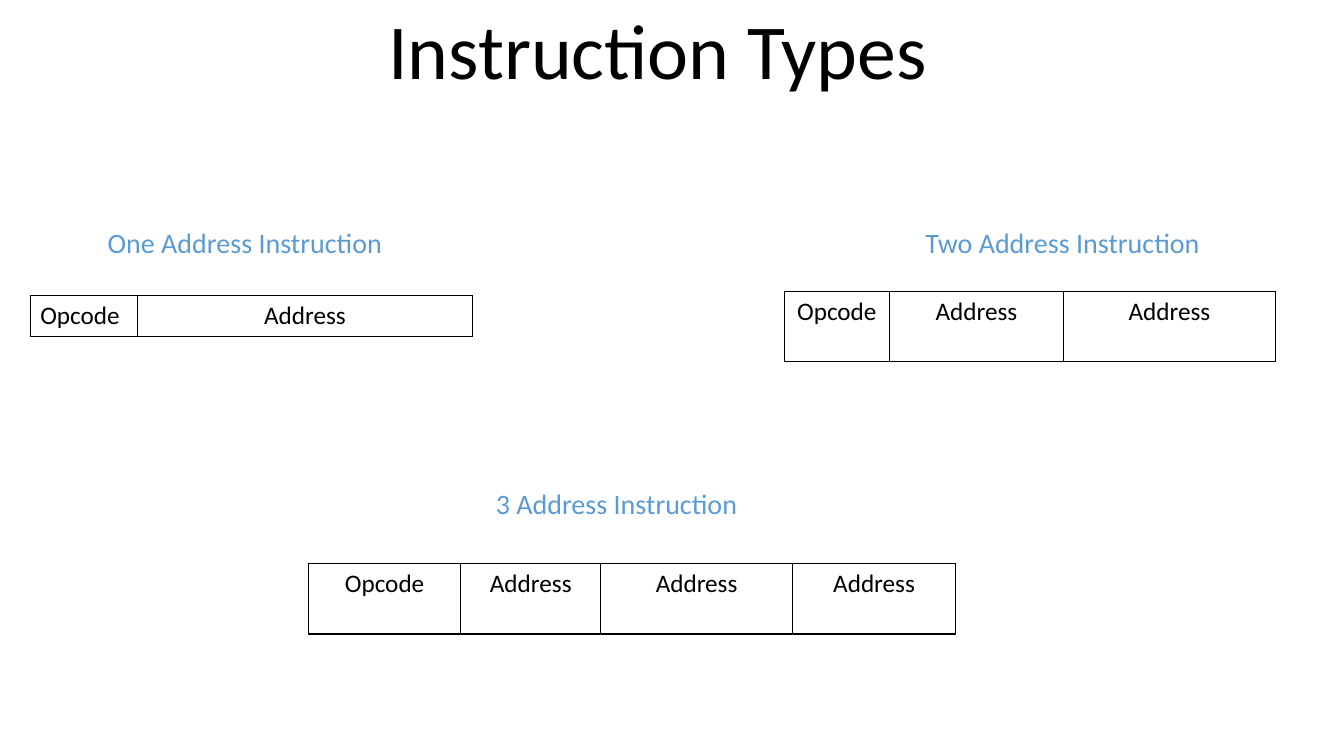
from dataclasses import dataclass

from lxml.etree import SubElement as Sub
from pptx import Presentation
from pptx.dml.color import RGBColor as Rgb
from pptx.enum.text import MSO_ANCHOR as Anchor, MSO_AUTO_SIZE as Fit, PP_ALIGN as Align
from pptx.oxml.ns import qn
from pptx.slide import Slide
from pptx.table import _Cell as Cell
from pptx.text.text import TextFrame as Frame
from pptx.util import Inches, Pt


@dataclass(frozen=True)
class Theme:
    face: str = "Calibri"
    ink: str = "000000"
    blue: str = "5B9BD5"
    title: float = 55.5
    head: float = 20
    body: float = 18
    rule: float = 1


@dataclass(frozen=True)
class Format:
    """One instruction format: its heading and its row of fields."""
    name: str
    head: tuple[float, float]
    left: float
    top: float
    high: float
    widths: tuple[float, ...]
    first: Align = Align.CENTER


THEME = Theme()
FORMATS = (
    Format("One Address Instruction", (0.97, 2.19), 0.3, 2.93, 0.4,
           (1.06, 3.33), Align.LEFT),
    Format("Two Address Instruction", (9.08, 2.19), 7.78, 2.89, 0.7,
           (1.04, 1.73, 2.1)),
    Format("3 Address Instruction", (4.82, 4.78), 3.06, 5.59, 0.7,
           (1.51, 1.39, 1.9, 1.62)),
)


def write(frame: Frame, text: str, size: float, color: str, align: Align) -> None:
    frame.text = text
    para = frame.paragraphs[0]
    para.alignment = align
    font = para.runs[0].font
    for key, value in {"name": THEME.face, "size": Pt(size), "bold": False}.items():
        setattr(font, key, value)
    font.color.rgb = Rgb.from_string(color)


def border(cell: Cell) -> None:
    props = cell._tc.get_or_add_tcPr()
    for side in ("lnL", "lnR", "lnT", "lnB"):
        line = Sub(props, qn(f"a:{side}"), w=str(Pt(THEME.rule)))
        Sub(Sub(line, qn("a:solidFill")), qn("a:srgbClr"), val=THEME.ink)


def add_title(slide: Slide) -> None:
    title = slide.shapes.title
    place = {"left": 2.15, "top": 0.1, "width": 8.75, "height": 0.89}
    for key, value in place.items():
        setattr(title, key, Inches(value))
    frame = title.text_frame
    write(frame, "Instruction Types", THEME.title, THEME.ink, Align.CENTER)
    look = {"vertical_anchor": Anchor.BOTTOM, "auto_size": Fit.NONE, "word_wrap": True}
    for key, value in look.items():
        setattr(frame, key, value)
    frame.paragraphs[0].line_spacing = 0.8


def add_head(slide: Slide, form: Format) -> None:
    left, top = form.head
    box = slide.shapes.add_textbox(Inches(left), Inches(top), Inches(3.07), Inches(0.44))
    frame = box.text_frame
    write(frame, form.name, THEME.head, THEME.blue, Align.LEFT)
    for key, value in {"word_wrap": True, "auto_size": Fit.SHAPE_TO_FIT_TEXT}.items():
        setattr(frame, key, value)


def add_fields(slide: Slide, form: Format) -> None:
    table = slide.shapes.add_table(
        1, len(form.widths), Inches(form.left), Inches(form.top),
        Inches(sum(form.widths)), Inches(form.high)).table
    for key in ("first_row", "horz_banding"):
        setattr(table, key, False)
    for i, width in enumerate(form.widths):
        table.columns[i].width = Inches(width)
        cell = table.cell(0, i)
        text, align = ("Address", Align.CENTER) if i else ("Opcode", form.first)
        write(cell.text_frame, text, THEME.body, THEME.ink, align)
        border(cell)
        cell.fill.background()


def main() -> None:
    deck = Presentation()
    deck.slide_width, deck.slide_height = Inches(13.33), Inches(7.5)
    slide = deck.slides.add_slide(deck.slide_layouts[5])

    # Title
    add_title(slide)

    # Instruction formats
    for form in FORMATS:
        add_fields(slide, form)
        add_head(slide, form)

    deck.save("out.pptx")


if __name__ == "__main__":
    main()
